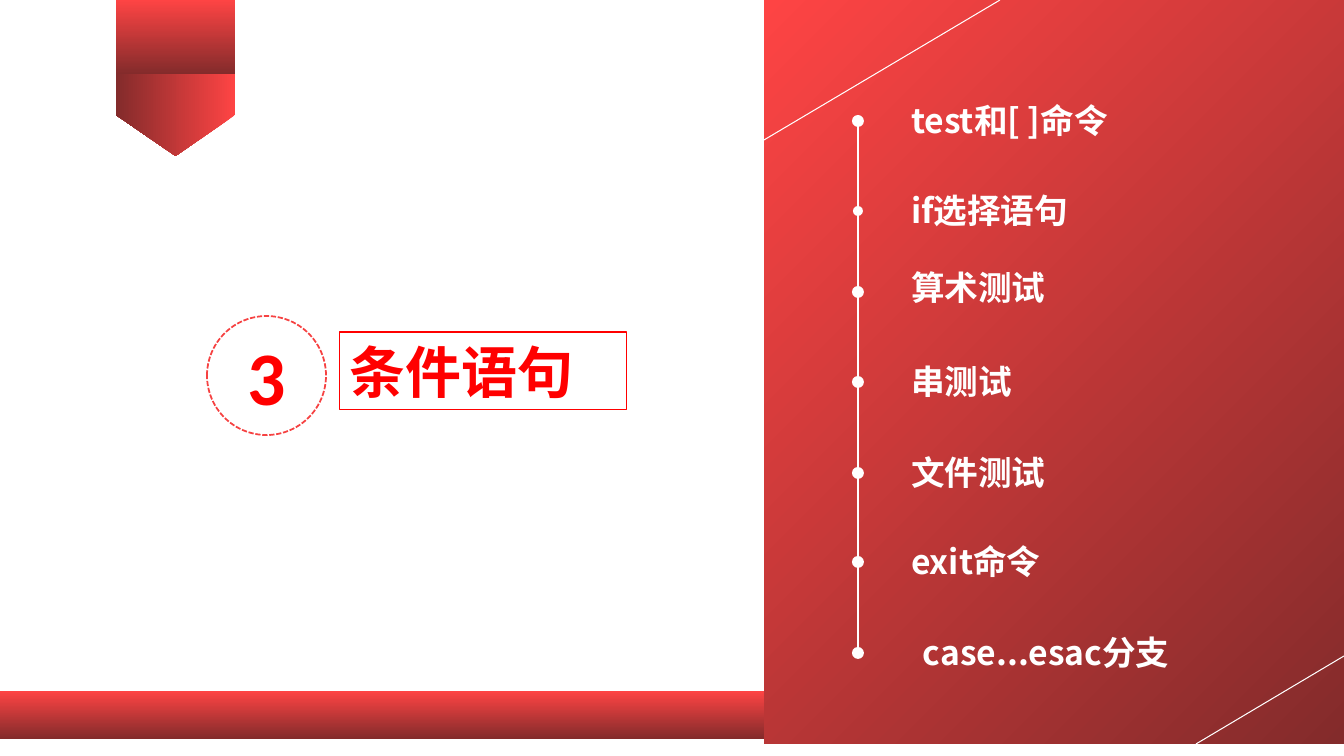
from pptx import Presentation
from pptx.dml.color import RGBColor
from pptx.enum.dml import MSO_LINE
from pptx.enum.shapes import MSO_CONNECTOR, MSO_SHAPE
from pptx.enum.text import MSO_ANCHOR, PP_ALIGN
from pptx.oxml.ns import qn
from pptx.util import Pt

RECT, OVAL, PENTAGON = MSO_SHAPE.RECTANGLE, MSO_SHAPE.OVAL, MSO_SHAPE.PENTAGON
STRAIGHT, DASH = MSO_CONNECTOR.STRAIGHT, MSO_LINE.SQUARE_DOT
TOP, MIDDLE = MSO_ANCHOR.TOP, MSO_ANCHOR.MIDDLE
LEFT, CENTER = PP_ALIGN.LEFT, PP_ALIGN.CENTER

SCALE = 914400 / 100.8
WIDTH, HEIGHT = 1344, 756
CJK, LATIN = "Noto Sans CJK SC", "Calibri"
COLORS = {"bright": "FE4444", "dark": "832B2B", "red": "FF0000",
          "ring": "F64242", "white": "FFFFFF"}

# text, dot centre y, dot size, text shift right, text shift up
TOPICS = [
    ("test和[ ]命令", 121, 12, 0, 0),
    ("if选择语句", 211, 10, 0, 0),
    ("算术测试", 292, 12, 0, 4),
    ("串测试", 382, 12, 0, 0),
    ("文件测试", 473, 12, 0, 0),
    ("exit命令", 562, 12, 0, 0),
    ("case...esac分支", 653, 12, 12, 0),
]


def px(n):
    return round(n * SCALE)


def color(name):
    return RGBColor.from_string(COLORS[name])


def add_shape(s, kind, box, fill):
    sp = s.shapes.add_shape(kind, *map(px, box))
    sp.shadow.inherit = False
    sp.line.fill.background()
    sp.fill.solid()
    sp.fill.fore_color.rgb = color(fill)
    return sp


def add_gradient(s, kind, box, angle=90):
    """Shape shaded from bright to dark; angle runs clockwise from the right."""
    sp = add_shape(s, kind, box, "bright")
    sp.fill.gradient()
    sp.fill.gradient_angle = 360 - angle
    for stop, name in zip(sp.fill.gradient_stops, ("bright", "dark")):
        stop.color.rgb = color(name)
    return sp


def add_line(s, start, end, width):
    line = s.shapes.add_connector(STRAIGHT, *map(px, start + end))
    line.line.color.rgb = color("white")
    line.line.width = Pt(width)
    line._element.spPr.append(line._element.makeelement(qn("a:effectLst"), {}))


def write(sp, text, size, ink, font=CJK, align=LEFT, anchor=TOP):
    tf = sp.text_frame
    frame = {"word_wrap": True, "vertical_anchor": anchor,
             "margin_left": px(10), "margin_right": px(10),
             "margin_top": px(5), "margin_bottom": px(5)}
    for key, value in frame.items():
        setattr(tf, key, value)
    p = tf.paragraphs[0]
    p.alignment, p.line_spacing, p.space_before = align, 1.0, Pt(0)
    r = p.add_run()
    r.text = text
    for key, value in {"size": Pt(size), "bold": True, "name": font}.items():
        setattr(r.font, key, value)
    r.font.color.rgb = color(ink)
    rPr = r._r.get_or_add_rPr()
    rPr.append(rPr.makeelement(qn("a:ea"), {"typeface": font}))


def draw_ribbon(s, left, top, width, height):
    fold = 74
    tip = height - fold
    # The pentagon is turned a quarter, so its box is laid on its side.
    middle_x, middle_y = left + width / 2, top + fold + tip / 2
    point = add_gradient(s, PENTAGON, (middle_x - tip / 2, middle_y - width / 2,
                                       tip, width))
    point.rotation = 90
    add_gradient(s, RECT, (left, top, width, fold))


def draw_heading(s, left, top, width, height):
    badge = add_shape(s, OVAL, (left, top, height, height), "white")
    badge.line.color.rgb = color("ring")
    badge.line.width = Pt(1.25)
    badge.line.dash_style = DASH
    write(badge, "3", 54, "red", LATIN, CENTER, MIDDLE)

    title = s.shapes.title
    gap = 133
    title.left, title.top = px(left + gap), px(top + 16)
    title.width, title.height = px(width - gap), px(78)
    title.line.color.rgb = color("red")
    title.line.width = Pt(0.75)
    write(title, "条件语句", 40, "red")


def draw_topics(s, left, top, width, height):
    right, bottom = left + width, top + height
    add_gradient(s, RECT, (left, top, width, height), 45)
    add_line(s, (left + 236, top), (left, top + 140), 0.75)
    add_line(s, (right, bottom - 88), (right - 148, bottom), 0.75)

    axis = left + 94
    for (_, y, *_), (_, next_y, *_) in zip(TOPICS, TOPICS[1:]):
        add_line(s, (axis, top + y), (axis, top + next_y), 1)
    for text, y, size, right_shift, up_shift in TOPICS:
        add_shape(s, OVAL, (axis - size / 2, top + y - size / 2, size, size), "white")
        box = (left + 137 + right_shift, top + y - 26 - up_shift, 388, 50)
        write(s.shapes.add_textbox(*map(px, box)), text, 24, "white")


def main():
    prs = Presentation()
    prs.slide_width, prs.slide_height = px(WIDTH), px(HEIGHT)
    s = prs.slides.add_slide(prs.slide_layouts[5])
    panel_left = 764
    draw_ribbon(s, 116, 0, 119, 156)
    add_gradient(s, RECT, (0, 691, panel_left, 48))
    draw_heading(s, 207, 316, 420, 119)
    draw_topics(s, panel_left, 0, WIDTH - panel_left, 744)
    prs.save("out.pptx")


if __name__ == "__main__":
    main()
